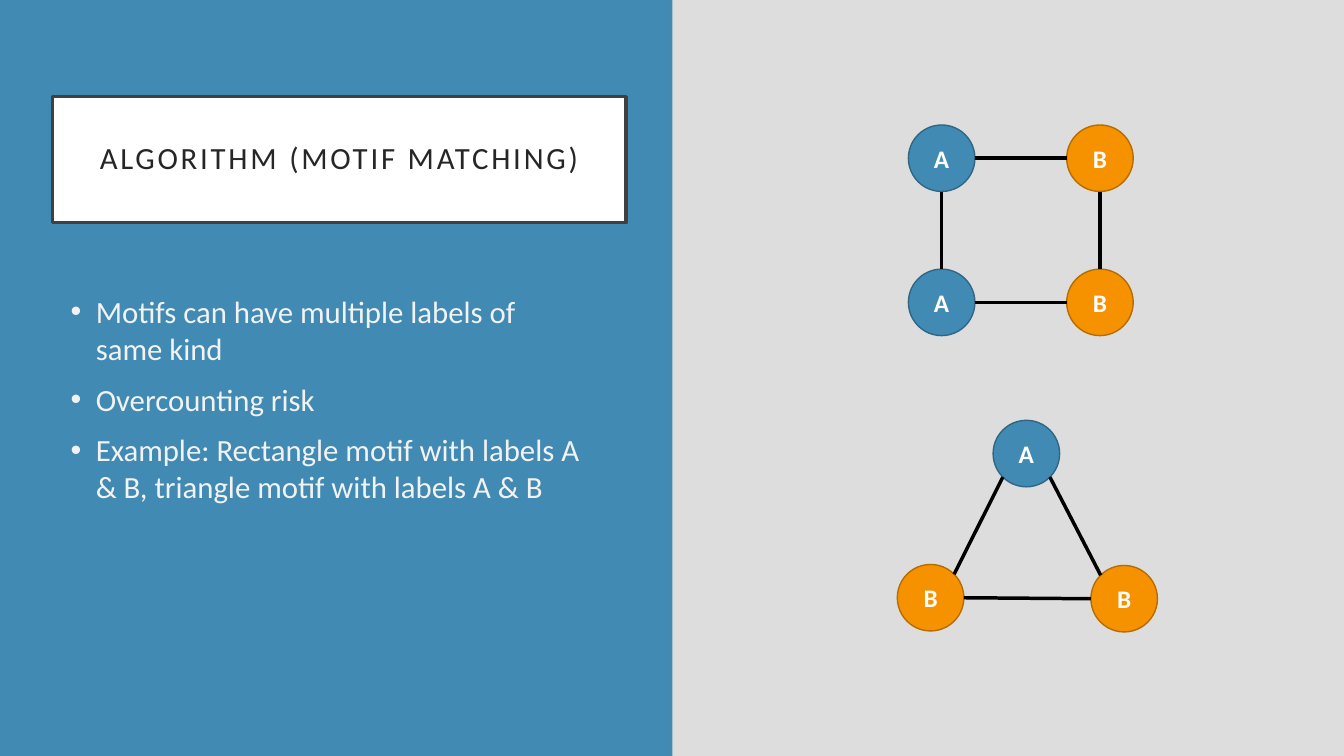
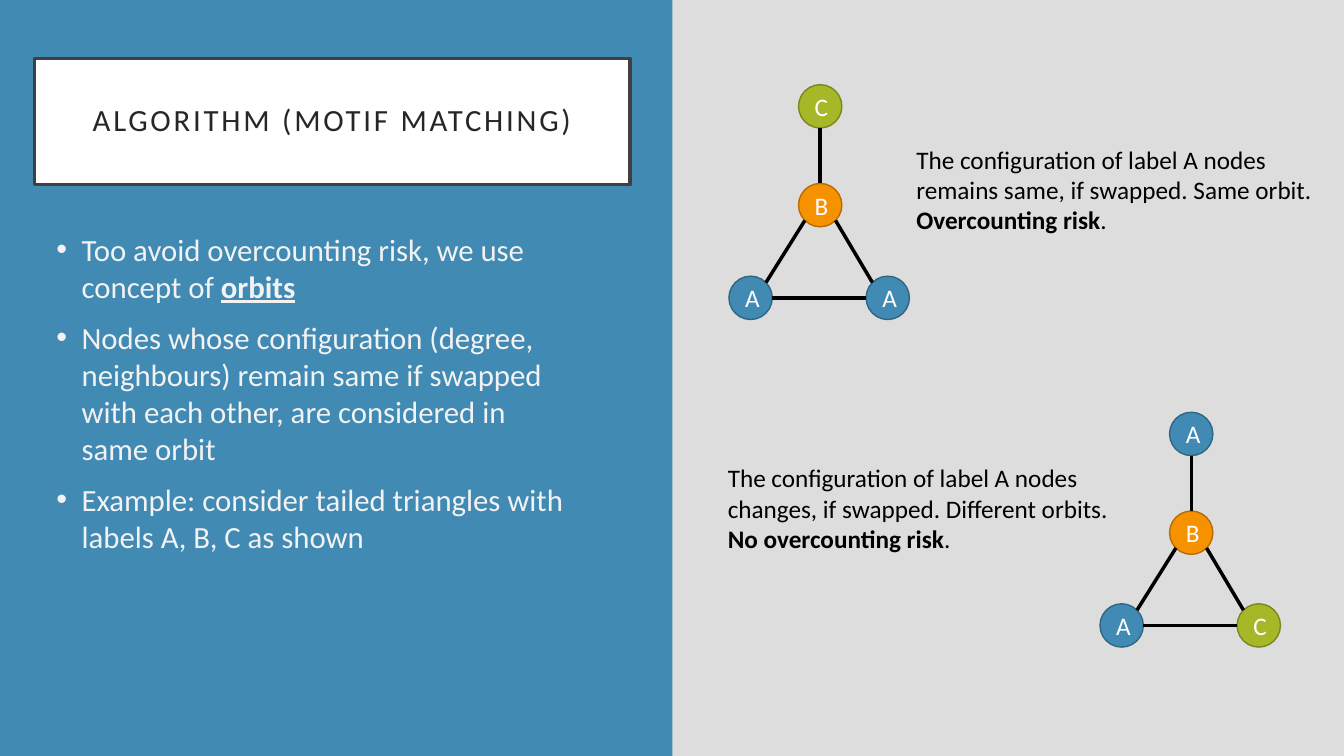
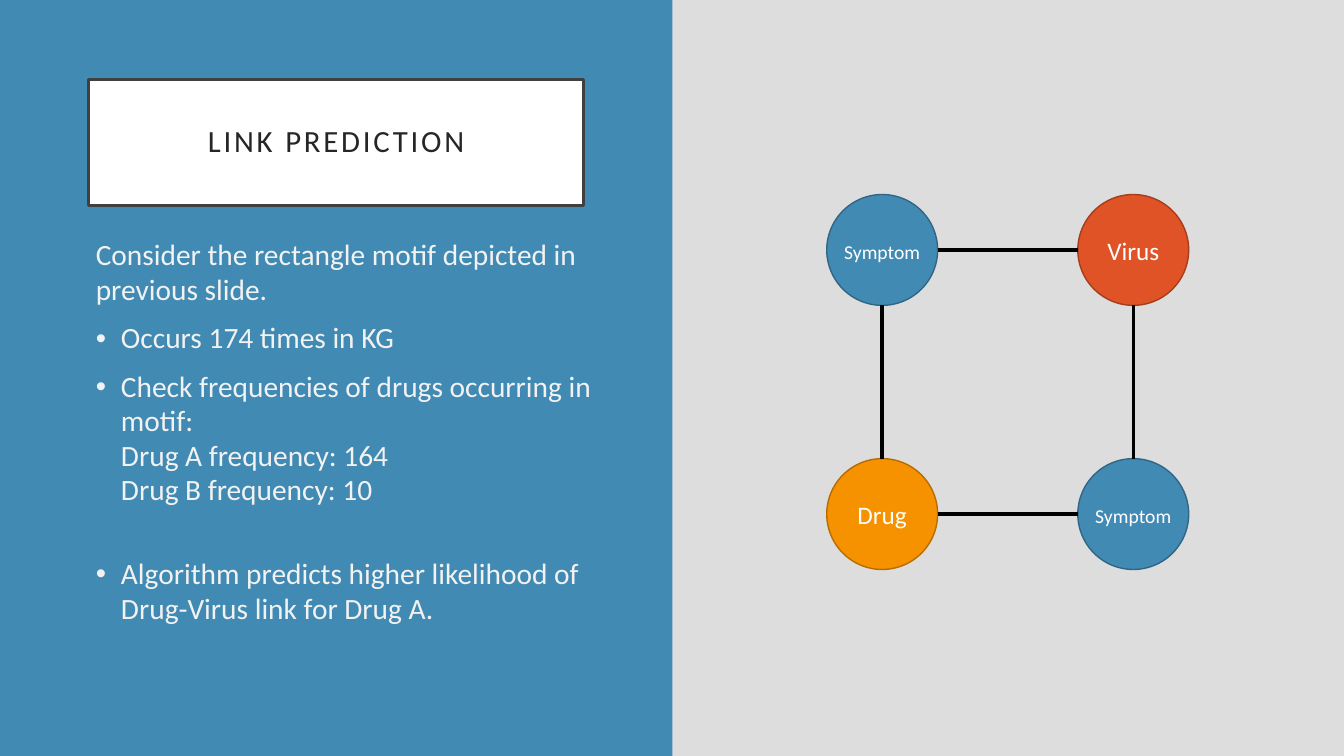
import math
from dataclasses import dataclass

from lxml import etree
from pptx import Presentation
from pptx import util as u
from pptx.dml.color import RGBColor
from pptx.enum import shapes, text
from pptx.oxml.ns import qn

SCALE = 9144
WIDE, HIGH = 1333, 750
TOP, UPLEFT, LEFT, LOWLEFT, LOW, LOWRIGHT, RIGHT, UPRIGHT = range(8)


@dataclass(frozen=True)
class Theme:
    font: str = "Calibri"
    back: str = "DDDDDD"
    band: str = "418AB3"
    white: str = "FFFFFF"
    frame: str = "404040"
    head: str = "262626"
    pale: str = "F2F2F2"
    ink: str = "000000"
    blue: tuple = ("418AB3", "306684")
    gold: tuple = ("F69200", "B66C00")
    green: tuple = ("A6B727", "7B871D")
    red: tuple = ("DF5327", "A53D1D")
    large: int = 22
    mid: int = 21
    base: int = 18
    small: int = 14
    heavy: float = 2.5
    thin: int = 1


THEME = Theme()
HUES = {
    "A": THEME.blue, "B": THEME.gold, "C": THEME.green,
    "Symptom": THEME.blue, "Drug": THEME.gold, "Virus": THEME.red,
}


def px(*nums):
    return [u.Emu(num * SCALE) for num in nums]


def rgb(code):
    return RGBColor.from_string(code)


class Deck:
    def __init__(self, theme):
        self.theme = theme
        self.prs = Presentation()
        self.prs.slide_width, self.prs.slide_height = px(WIDE, HIGH)
        self.page = None
        self.plan = self.prs.slide_layouts[1]
        self.plan.background.fill.solid()
        self.plan.background.fill.fore_color.rgb = rgb(theme.back)
        for spot in list(self.plan.placeholders):
            if spot.placeholder_format.idx >= 10:
                spot.element.getparent().remove(spot.element)

    def slide(self, name, box):
        first = self.page is None
        self.page = self.prs.slides.add_slide(self.plan)
        if first:
            self.band()
        self.title(name, box)

    def band(self):
        band = self.page.shapes.add_shape(shapes.MSO_SHAPE.RECTANGLE, *px(0, 0, 667, HIGH))
        self.paint(band, self.theme.band)
        self.plan.shapes.element.insert(2, band.element)

    def paint(self, shape, fill, line=None, width=0):
        shape.fill.solid()
        shape.fill.fore_color.rgb = rgb(fill)
        if line:
            shape.line.color.rgb = rgb(line)
            shape.line.width = u.Pt(width)
        else:
            shape.line.fill.background()
        shape.shadow.inherit = False

    def place(self, shape, box):
        shape.left, shape.top, shape.width, shape.height = px(*box)

    def pad(self, frame, side, top, low):
        frame.margin_left, frame.margin_right = px(side, side)
        frame.margin_top, frame.margin_bottom = px(top, low)

    def words(self, para, parts, size, color, bold=False, under=False):
        for num, part in enumerate(parts):
            for row, line in enumerate(part.split("\n")):
                if row:
                    para.add_line_break()
                if line:
                    run = para.add_run()
                    run.text = line
                    font = run.font
                    font.name, font.size = self.theme.font, u.Pt(size)
                    font.color.rgb = rgb(color)
                    font.bold = bold or num % 2 == 1
                    font.underline = under and num % 2 == 1

    def breaks(self, shape, size):
        for gap in shape.element.iter(qn("a:br")):
            etree.SubElement(gap, qn("a:rPr"), sz=str(size * 100))

    def title(self, name, box):
        shape = self.page.shapes.title
        self.place(shape, box)
        self.paint(shape, self.theme.white, self.theme.frame, self.theme.heavy)
        frame = shape.text_frame
        frame.auto_size = text.MSO_AUTO_SIZE.NONE
        frame.vertical_anchor = text.MSO_ANCHOR.MIDDLE
        self.pad(frame, 20, 20, 20)
        para = frame.paragraphs[0]
        para.alignment = text.PP_ALIGN.CENTER
        para.line_spacing = 0.9
        self.words(para, [name], self.theme.large, self.theme.head)
        for prop in shape.element.iter(qn("a:rPr")):
            prop.set("spc", "200")

    def body(self, box, items, size, lead=None, last=10, pitch=1.0):
        shape = self.page.placeholders[1]
        self.place(shape, box)
        frame = shape.text_frame
        frame.auto_size = text.MSO_AUTO_SIZE.NONE
        frame.vertical_anchor = text.MSO_ANCHOR.TOP
        rows = ([[lead]] if lead else []) + items
        for num, parts in enumerate(rows):
            para = frame.add_paragraph() if num else frame.paragraphs[0]
            para.space_before = u.Pt(last if num == len(rows) - 1 else 10)
            para.line_spacing = pitch
            self.words(para, parts, size, self.theme.pale, under=True)
        for num, node in enumerate(shape.element.iter(qn("a:p"))):
            self.bullet(node.get_or_add_pPr(), not (lead and num == 0))
        self.breaks(shape, size)

    def bullet(self, prop, shown):
        dent = px(25)[0] if shown else 0
        prop.set("marL", str(dent))
        prop.set("indent", str(-dent))
        if shown:
            tint = etree.SubElement(prop, qn("a:buClr"))
            etree.SubElement(tint, qn("a:srgbClr"), val=self.theme.pale)
            etree.SubElement(prop, qn("a:buFont"), typeface="Arial")
            etree.SubElement(prop, qn("a:buChar"), char="•")
        else:
            etree.SubElement(prop, qn("a:buNone"))

    def note(self, box, parts):
        shape = self.page.shapes.add_textbox(*px(*box))
        frame = shape.text_frame
        frame.word_wrap = True
        frame.auto_size = text.MSO_AUTO_SIZE.SHAPE_TO_FIT_TEXT
        self.words(frame.paragraphs[0], parts, self.theme.base, self.theme.ink)
        self.breaks(shape, self.theme.base)

    def node(self, name, x, y, size, bold):
        shape = self.page.shapes.add_shape(shapes.MSO_SHAPE.OVAL, *px(x, y, size, size))
        self.paint(shape, *HUES[name], self.theme.thin)
        frame = shape.text_frame
        frame.vertical_anchor = text.MSO_ANCHOR.MIDDLE
        long = len(name) > 5
        if long:
            self.pad(frame, 0, 8, 5)
        para = frame.paragraphs[0]
        para.alignment = text.PP_ALIGN.CENTER
        self.words(para, [name], self.theme.small if long else self.theme.base, self.theme.white, bold)
        return shape

    def site(self, node, num):
        turn, half = math.radians(45 * num), node.width / 2
        return (u.Emu(round(node.left + half - half * math.sin(turn))),
                u.Emu(round(node.top + half - half * math.cos(turn))))

    def link(self, start, out, end, into):
        line = self.page.shapes.add_connector(
            shapes.MSO_CONNECTOR.STRAIGHT, *self.site(start, out), *self.site(end, into))
        line.line.color.rgb = rgb(self.theme.ink)
        line.line.width = u.Pt(self.theme.heavy)
        etree.SubElement(line.element.spPr, qn("a:effectLst"))
        glue = next(line.element.iter(qn("p:cNvCxnSpPr")))
        for tag, node, num in (("a:stCxn", start, out), ("a:endCxn", end, into)):
            etree.SubElement(glue, qn(tag), id=str(node.shape_id), idx=str(num))

    def motif(self, names, spots, size, links, bold=False):
        nodes = [self.node(name, x, y, size, bold) for name, (x, y) in zip(names, spots)]
        for start, out, end, into in links:
            self.link(nodes[start], out, nodes[end], into)

    def square(self, names, x, y, dx, dy, size, bold=False):
        spots = [(x, y), (x + dx, y), (x, y + dy), (x + dx, y + dy)]
        links = [(0, RIGHT, 1, LEFT), (0, LOW, 2, TOP), (2, RIGHT, 3, LEFT), (1, LOW, 3, TOP)]
        self.motif(names, spots, size, links, bold)

    def cone(self, names, spots, size, bold=False):
        links = [(0, LOWLEFT, 1, UPRIGHT), (0, LOWRIGHT, 2, UPLEFT), (1, RIGHT, 2, LEFT)]
        if len(names) > 3:
            links.append((3, LOW, 0, TOP))
        self.motif(names, spots, size, links, bold)

    def tailed(self, names, x, y):
        spots = [(x + 69, y + 98), (x, y + 190), (x + 136, y + 190), (x + 69, y)]
        self.cone(names, spots, 43)


def main():
    deck = Deck(THEME)

    deck.slide("ALGORITHM (MOTIF MATCHING)", (52, 96, 569, 125))
    deck.body((60, 285, 527, 440), [
        ["Motifs can have multiple labels of same kind"],
        ["Overcounting risk"],
        ["Example: Rectangle motif with labels A & B, triangle motif with labels A & B"],
    ], THEME.large)
    deck.square("ABAB", 901, 124, 157, 143, 66, True)
    deck.cone("ABB", [(985, 417), (890, 560), (1082, 561)], 66, True)

    deck.slide("ALGORITHM (MOTIF MATCHING)", (34, 58, 591, 125))
    deck.body((46, 224, 527, 440), [
        ["Too avoid overcounting risk, we use concept of ", "orbits"],
        ["Nodes whose configuration (degree, neighbours) remain same if swapped "
         "with each other, are considered in same orbit"],
        ["Example: consider tailed triangles with labels A, B, C as shown"],
    ], THEME.large)
    deck.tailed("BAAC", 723, 84)
    deck.tailed("BACA", 1091, 409)
    deck.note((899, 138, 426, 101), [
        "The configuration of label A nodes remains same, if swapped. Same orbit.\n",
        "Overcounting risk", "."])
    deck.note((712, 454, 426, 101), [
        "The configuration of label A nodes changes, if swapped. Different orbits.\n",
        "No overcounting risk", "."])

    deck.slide("LINK PREDICTION", (88, 79, 491, 125))
    deck.body((85, 231, 527, 440), [
        ["Occurs 174 times in KG"],
        ["Check frequencies of drugs occurring in motif:\n"
         "Drug A frequency: 164\nDrug B frequency: 10"],
        ["Algorithm predicts higher likelihood of Drug-Virus link for Drug A."],
    ], THEME.mid, "Consider the rectangle motif depicted in previous slide.", 35, 0.98)
    deck.square(["Symptom", "Virus", "Drug", "Symptom"], 820, 193, 249, 262, 110)

    deck.prs.save("out.pptx")


if __name__ == "__main__":
    main()
